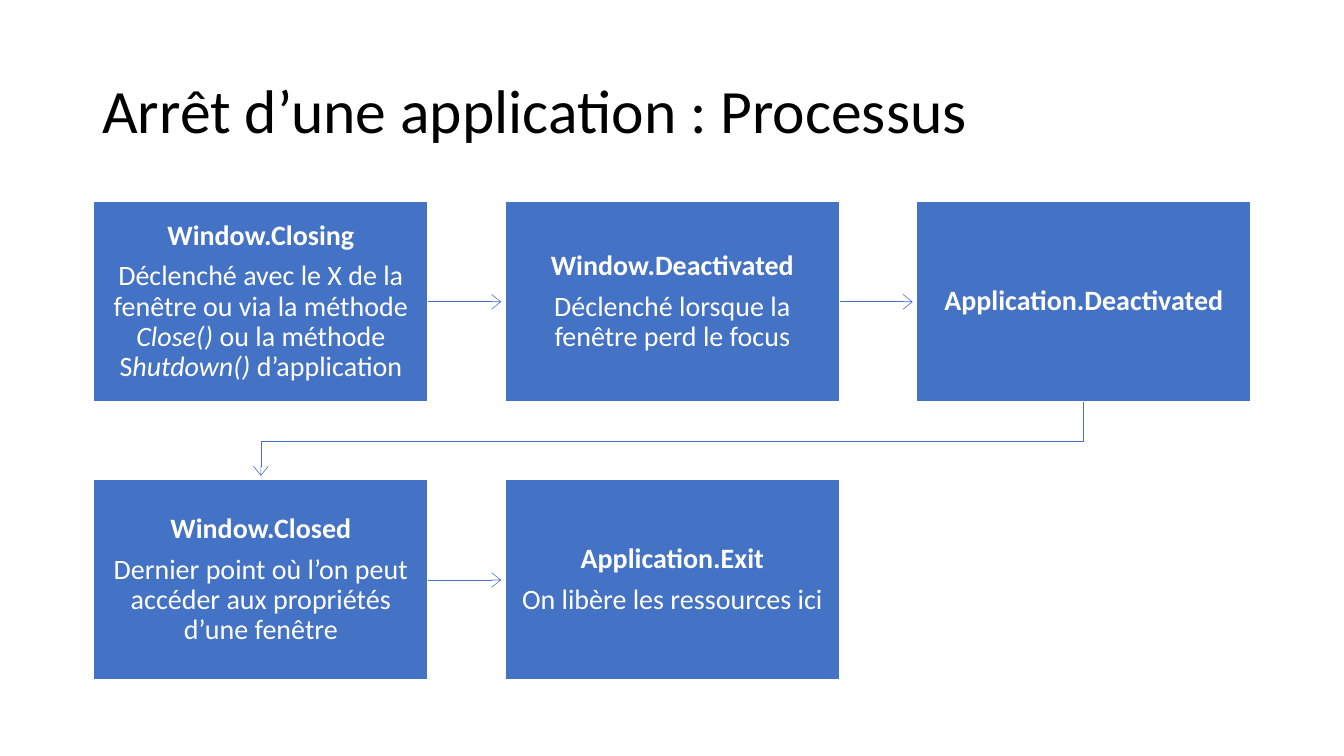
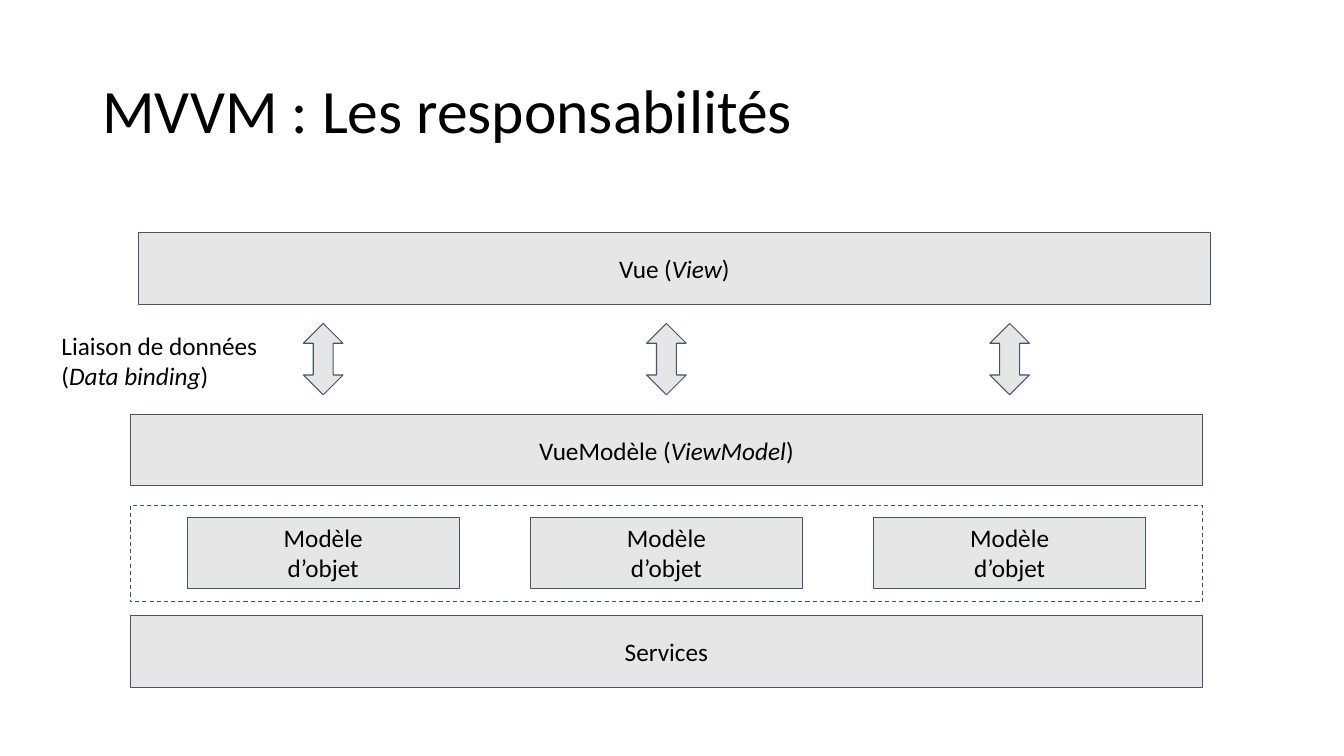
from lxml import etree
from pptx import Presentation
from pptx import util as u
from pptx.dml.color import RGBColor
from pptx.enum import dml, shapes, text
from pptx.oxml import ns

COLOURS = {
    "black": "000000",
    "white": "FFFFFF",
    "blue": "4472C4",
    "grey": "E7E6E6",
    "slate": "44546A",
}
FONT = "Calibri"
TITLE_BOX = (2.33, 1.02, 29.21, 3.68)
TITLE = {"size": 44, "colour": "black", "align": text.PP_ALIGN.LEFT, "spacing": 0.9}
STEP = {"size": 20, "colour": "white", "align": text.PP_ALIGN.CENTER,
        "spacing": 0.9, "after": 7.5, "inset": 0.4}
LAYER = {"size": 18, "colour": "black", "align": text.PP_ALIGN.CENTER, "inset": 0.25}
LABEL = {**LAYER, "align": text.PP_ALIGN.LEFT}


def colour(name):
    return RGBColor.from_string(COLOURS[name])


def apply(target, values):
    for name, value in values.items():
        setattr(target, name, value)


def lengths(values):
    return [u.Cm(value) for value in values]


def write(shape, lines, style, bold_first=False):
    frame = shape.text_frame
    apply(frame, {"word_wrap": True, "vertical_anchor": text.MSO_ANCHOR.MIDDLE})
    if "inset" in style:
        sides = ("left", "top", "right", "bottom")
        apply(frame, {f"margin_{side}": u.Cm(style["inset"]) for side in sides})
    for index, line in enumerate(lines):
        para = frame.add_paragraph() if index else frame.paragraphs[0]
        last = index == len(lines) - 1
        apply(para, {
            "alignment": style["align"],
            "line_spacing": style.get("spacing", 1.0),
            "space_after": u.Pt(0 if last else style.get("after", 0)),
        })
        for part, words in enumerate(line.split("*")):
            if not words:
                continue
            span = para.add_run()
            span.text = words
            apply(span.font, {
                "name": FONT,
                "size": u.Pt(style["size"]),
                "bold": bold_first and index == 0,
                "italic": part % 2 == 1,
            })
            span.font.color.rgb = colour(style["colour"])


def add_text(page, box, lines, style):
    write(page.shapes.add_textbox(*lengths(box)), lines, style)


def add_block(page, box, fill, line, width, kind=shapes.MSO_SHAPE.RECTANGLE):
    block = page.shapes.add_shape(kind, *lengths(box))
    block.shadow.inherit = False
    if fill:
        block.fill.solid()
        block.fill.fore_color.rgb = colour(fill)
    else:
        block.fill.background()
    block.line.color.rgb = colour(line)
    block.line.width = u.Pt(width)
    return block


def style_arrow(arrow):
    arrow.line.color.rgb = colour("blue")
    arrow.line.width = u.Pt(0.5)
    properties = arrow.line._get_or_add_ln()
    etree.SubElement(properties, ns.qn("a:tailEnd"), type="arrow", w="lg", len="med")


def add_page(deck, title):
    page = deck.slides.add_slide(deck.slide_layouts[6])
    add_text(page, TITLE_BOX, [title], TITLE)
    return page


def add_straight_arrow(page, source, target, clearance):
    middle = source.top + source.height // 2
    arrow = page.shapes.add_connector(
        shapes.MSO_CONNECTOR.STRAIGHT,
        source.left + source.width, middle, target.left - clearance, middle)
    arrow.begin_connect(source, 3)
    etree.SubElement(arrow._element.spPr, ns.qn("a:effectLst"))
    style_arrow(arrow)


def add_return_arrow(page, source, target, clearance):
    start_x = source.left + source.width // 2
    start_y = source.top + source.height
    end_x = target.left + target.width // 2
    turn_y = (start_y + target.top) // 2
    builder = page.shapes.build_freeform(start_x, start_y)
    corners = [(start_x, turn_y), (end_x, turn_y), (end_x, target.top - clearance)]
    builder.add_line_segments(corners, close=False)
    arrow = builder.convert_to_shape()
    arrow.shadow.inherit = False
    arrow.fill.background()
    style_arrow(arrow)


def draw_process(page, box, steps, columns=3):
    left, top, width, height = box
    step_width, step_height = 8.43, 5.05
    pitch_x = (width - step_width) / (columns - 1)
    pitch_y = height - step_height
    clearance = u.Cm(0.1)
    previous = None
    for index, lines in enumerate(steps):
        row, column = divmod(index, columns)
        place = (left + column * pitch_x, top + row * pitch_y, step_width, step_height)
        step = add_block(page, place, "blue", "white", 1)
        write(step, lines, STEP, bold_first=True)
        if previous is not None:
            connect = add_straight_arrow if column else add_return_arrow
            connect(page, previous, step, clearance)
        previous = step


def draw_layers(page, box, layers, model, binding, count=3):
    left, top, width, height = box
    layer_height = 1.8
    model_width, arrow_width, pitch = 6.86, 1, 8.65

    group = add_block(page, (left, top + 6.86, width, 2.44), None, "slate", 0.75)
    group.line.dash_style = dml.MSO_LINE.DASH

    for name, shift, offset in layers:
        place = (left + shift, top + offset, width, layer_height)
        write(add_block(page, place, "grey", "slate", 0.75), [name], LAYER)

    for index in range(count):
        centre = left + width / 2 + (index - (count - 1) / 2) * pitch
        place = (centre - model_width / 2, top + 7.16, model_width, layer_height)
        write(add_block(page, place, "grey", "slate", 0.75), model, LAYER)
        place = (centre - arrow_width / 2, top + 2.28, arrow_width, layer_height)
        add_block(page, place, "grey", "slate", 0.75, shapes.MSO_SHAPE.UP_DOWN_ARROW)

    add_text(page, (left - 1.98, top + 2.08, 8.08, 2.26), binding, LABEL)


def main():
    deck = Presentation()
    apply(deck, {"slide_width": u.Cm(33.87), "slide_height": u.Cm(19.05)})

    page = add_page(deck, "Arrêt d’une application : Processus")
    draw_process(page, (2.36, 5.08, 29.17, 12.06), [
        ["Window.Closing",
         "Déclenché avec le X de la fenêtre ou via la méthode *Close() *"
         "ou la méthode S*hutdown()* d’application"],
        ["Window.Deactivated", "Déclenché lorsque la fenêtre perd le focus"],
        ["Application.Deactivated"],
        ["Window.Closed",
         "Dernier point où l’on peut accéder aux propriétés d’une fenêtre"],
        ["Application.Exit", "On libère les ressources ici"],
    ])

    page = add_page(deck, "MVVM : Les responsabilités")
    draw_layers(
        page, (3.28, 5.87, 27.03, 11.45),
        layers=[
            ("Vue (*View*)", 0.2, 0),
            ("VueModèle (*ViewModel*)", 0, 4.57),
            ("Services", 0, 9.65),
        ],
        model=["Modèle", "d’objet"],
        binding=["Liaison de données", "(*Data binding*)"])

    deck.save("out.pptx")


if __name__ == "__main__":
    main()
